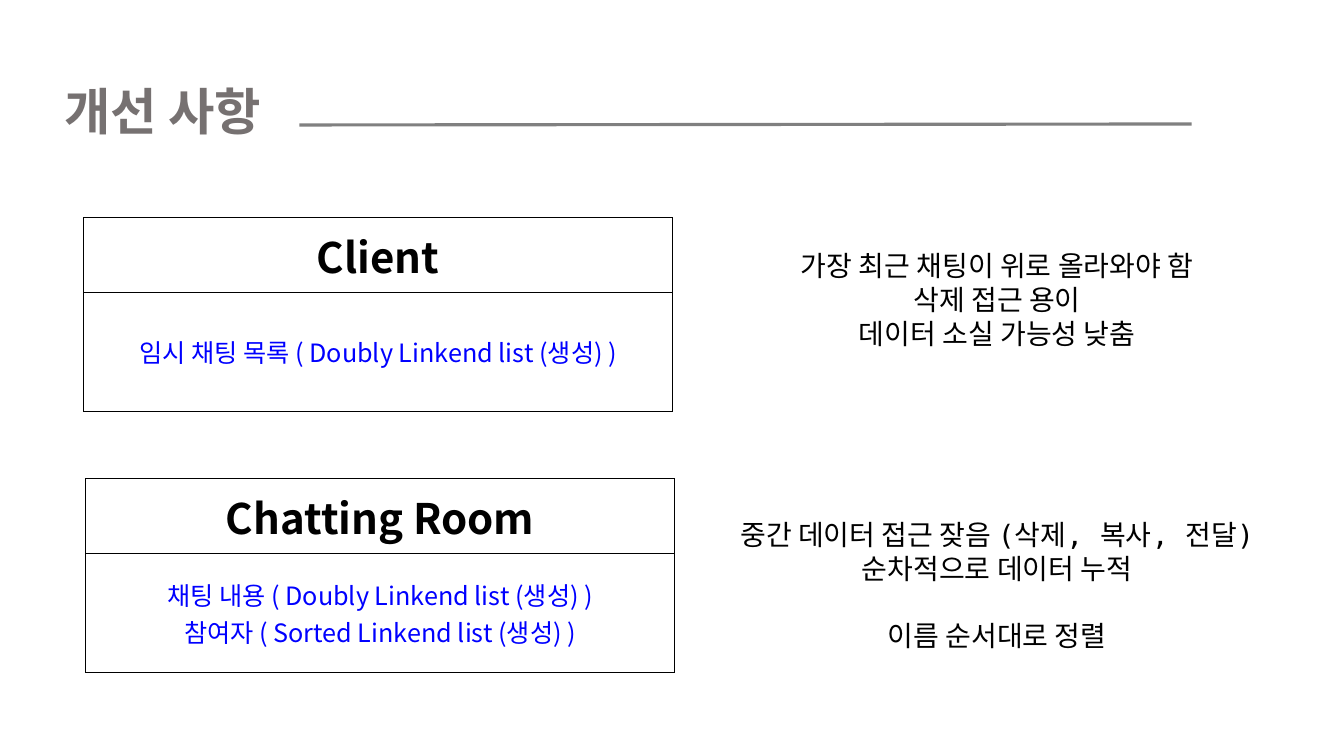
from lxml import etree
from pptx import Presentation, util as u
from pptx.dml.color import RGBColor
from pptx.enum import shapes, text
from pptx.oxml.ns import qn

BLACK = RGBColor(0x00, 0x00, 0x00)
WHITE = RGBColor(0xFF, 0xFF, 0xFF)
BLUE = RGBColor(0x00, 0x00, 0xFF)
TITLE_GRAY = RGBColor(0x76, 0x71, 0x71)
RULE_GRAY = RGBColor(0x80, 0x80, 0x80)

KOREAN = "Noto Sans CJK KR"
LATIN = "Arial"
MONO = "DejaVu Sans Mono"

TITLE_FORMAT = {"name": KOREAN, "size": u.Pt(36), "bold": True}
HEADING_FORMAT = {"name": KOREAN, "size": u.Pt(30), "bold": True}
STRUCTURE_FORMAT = {"name": KOREAN, "size": u.Pt(18), "bold": False}
REASON_LINE = 24  # points per line of reasons

CLIENT = ("Client", ["임시 채팅 목록 ( Doubly Linkend list (생성) )"])
CHATTING_ROOM = ("Chatting Room", ["채팅 내용 ( Doubly Linkend list (생성) )",
                                   "참여자 ( Sorted Linkend list (생성) )"])
# Wording, Latin font, lines of space above
REASONS = [
    ("가장 최근 채팅이 위로 올라와야 함", LATIN, 0),
    ("삭제 접근 용이", LATIN, 0),
    ("데이터 소실 가능성 낮춤", LATIN, 0),
    ("중간 데이터 접근 잦음 (삭제, 복사, 전달)", MONO, 5),
    ("순차적으로 데이터 누적", MONO, 0),
    ("이름 순서대로 정렬", MONO, 1),
]


def inches(*lengths):
    return [u.Inches(length) for length in lengths]


def write_line(frame, index, wording, color, font_format):
    line = frame.paragraphs[0] if index == 0 else frame.add_paragraph()
    line.alignment = text.PP_ALIGN.CENTER
    run = line.add_run()
    run.text = wording
    for name, value in font_format.items():
        setattr(run.font, name, value)
    run.font.color.rgb = color
    east_asian = etree.SubElement(run.font._element, qn("a:ea"))
    east_asian.set("typeface", KOREAN)
    return line


def add_title(slide, box, wording):
    frame = slide.shapes.add_textbox(*inches(*box)).text_frame
    frame.word_wrap = True
    frame.vertical_anchor = text.MSO_ANCHOR.MIDDLE
    write_line(frame, 0, wording, TITLE_GRAY, TITLE_FORMAT)


def add_title_rule(slide, start, end):
    rule = slide.shapes.add_connector(shapes.MSO_CONNECTOR.STRAIGHT,
                                      *inches(*start, *end))
    rule.line.color.rgb = RULE_GRAY
    rule.line.width = u.Pt(2.25)
    etree.SubElement(rule._element.spPr, qn("a:effectLst"))


def add_reasons(slide, box, reasons):
    panel = slide.shapes.add_shape(shapes.MSO_SHAPE.RECTANGLE, *inches(*box))
    panel.shadow.inherit = False
    panel.fill.solid()
    panel.fill.fore_color.rgb = WHITE
    panel.line.fill.background()
    frame = panel.text_frame
    frame.word_wrap = True
    frame.vertical_anchor = text.MSO_ANCHOR.MIDDLE
    for side in ("left", "top", "right", "bottom"):
        setattr(frame, f"margin_{side}", 0)
    for index, (wording, font_name, gap) in enumerate(reasons):
        line = write_line(frame, index, wording, BLACK,
                          {"name": font_name, "size": u.Pt(20)})
        line.space_before = u.Pt(gap * REASON_LINE)


def outline_cell(cell):
    properties = cell._tc.get_or_add_tcPr()
    for side in ("lnL", "lnR", "lnT", "lnB"):
        border = etree.SubElement(properties, qn(f"a:{side}"), w=str(u.Pt(1)))
        fill = etree.SubElement(border, qn("a:solidFill"))
        etree.SubElement(fill, qn("a:srgbClr"), val=str(BLACK))
    cell.fill.background()


def add_class_table(slide, box, heading, structures):
    left, top, width, height = box
    heading_height = 0.74
    table = slide.shapes.add_table(2, 1, *inches(*box)).table
    table.first_row = table.horz_banding = False
    table.columns[0].width = u.Inches(width)
    rows = [(heading_height, [heading], BLACK, HEADING_FORMAT),
            (height - heading_height, structures, BLUE, STRUCTURE_FORMAT)]
    for row, (row_height, lines, color, font_format) in enumerate(rows):
        table.rows[row].height = u.Inches(row_height)
        cell = table.cell(row, 0)
        cell.vertical_anchor = text.MSO_ANCHOR.MIDDLE
        outline_cell(cell)
        for index, wording in enumerate(lines):
            write_line(cell.text_frame, index, wording, color, font_format)


def main():
    deck = Presentation()
    deck.slide_width, deck.slide_height = inches(13.33, 7.5)
    slide = deck.slides.add_slide(deck.slide_layouts[6])

    # Reasons behind the improvements, on the right
    add_title_rule(slide, (2.97, 1.24), (11.82, 1.23))
    add_reasons(slide, (6.45, 2.47, 6.88, 4), REASONS)

    # Data structures of each class, on the left
    add_class_table(slide, (0.83, 2.16, 5.84, 1.92), *CLIENT)
    add_class_table(slide, (0.85, 4.75, 5.84, 1.92), *CHATTING_ROOM)

    # Title
    add_title(slide, (-0.41, 0.37, 4.05, 1.45), "개선 사항")

    deck.save("out.pptx")


if __name__ == "__main__":
    main()
